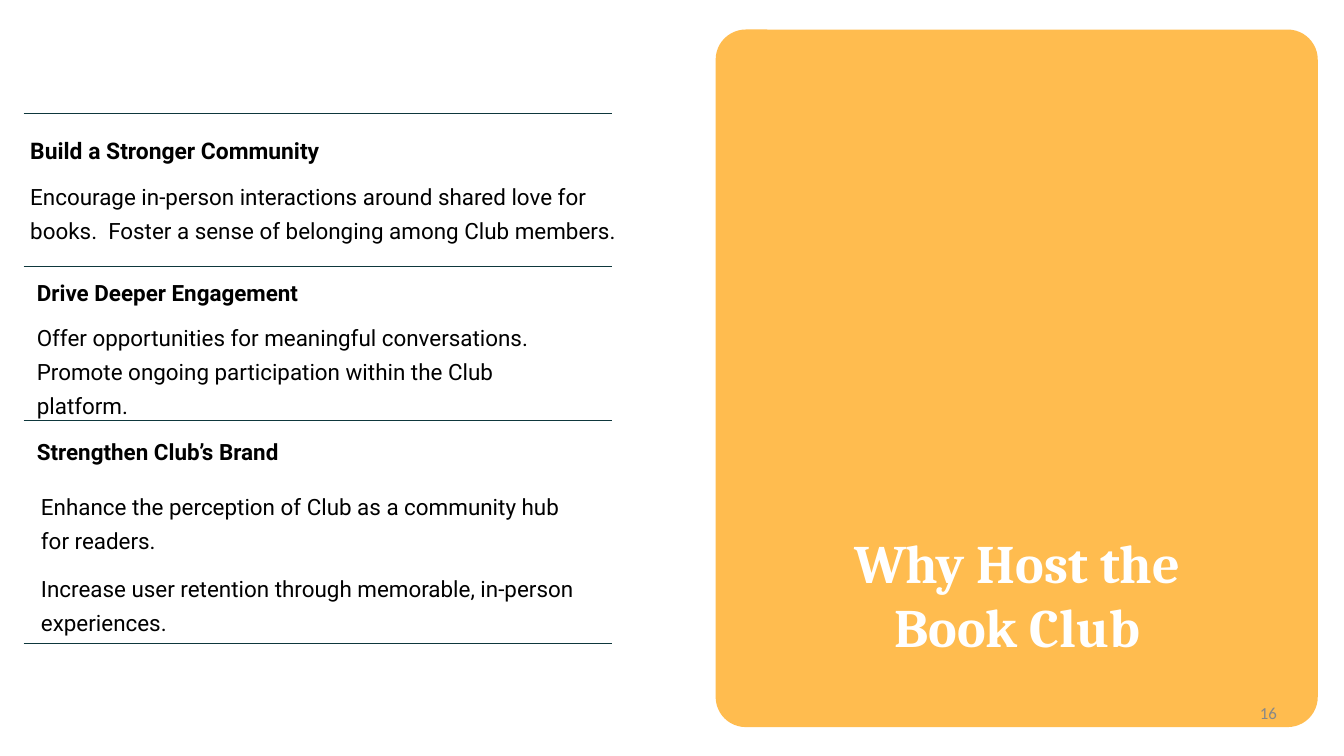
from dataclasses import dataclass

from lxml import etree
from pptx import Presentation
from pptx import util as u
from pptx.dml.color import RGBColor
from pptx.enum import shapes, text
from pptx.oxml.ns import qn

WIDTH, HEIGHT = u.Inches(20), u.Inches(11.25)
BLACK, WHITE, AMBER, TEAL, GREY = "000000", "FFFFFF", "FFBC4F", "0E373C", "888888"
LEFT, CENTER, RIGHT = text.PP_ALIGN.LEFT, text.PP_ALIGN.CENTER, text.PP_ALIGN.RIGHT


@dataclass(frozen=True)
class Area:
    """A rectangle in percent of the slide's width and height."""
    left: float
    top: float
    width: float
    height: float

    def emu(self) -> tuple[int, int, int, int]:
        return (across(self.left), down(self.top),
                across(self.width), down(self.height))


@dataclass(frozen=True)
class Passage:
    area: Area
    paragraphs: tuple[str, ...]
    bold: bool = False
    spacing: float = 1.0
    inset: float = 0.0      # inches, all sides
    inset_right: float = 0.0


def across(percent: float) -> int:
    return round(WIDTH * percent / 100)


def down(percent: float) -> int:
    return round(HEIGHT * percent / 100)


def color(value: str) -> RGBColor:
    return RGBColor.from_string(value)


def write(box, paragraphs, *, size=24, font="Roboto", fill=BLACK, bold=False,
          align=LEFT, spacing=1.0, inset=0.0, inset_right=0.0) -> None:
    frame = box.text_frame
    frame.word_wrap = True
    frame.auto_size = text.MSO_AUTO_SIZE.SHAPE_TO_FIT_TEXT
    frame.vertical_anchor = text.MSO_ANCHOR.TOP
    frame.margin_left = frame.margin_top = frame.margin_bottom = u.Inches(inset)
    frame.margin_right = u.Inches(inset_right or inset)
    for index, words in enumerate(paragraphs):
        paragraph = frame.add_paragraph() if index else frame.paragraphs[0]
        paragraph.text = words
        paragraph.alignment = align
        paragraph.line_spacing = spacing
        paragraph.space_before = u.Pt(15.8 if index else 0)
        paragraph.font.size = u.Pt(size)
        paragraph.font.name = font
        paragraph.font.bold = bold
        paragraph.font.color.rgb = color(fill)


def add_text(slide, area: Area, paragraphs, **style) -> None:
    write(slide.shapes.add_textbox(*area.emu()), paragraphs, **style)


def add_rule(slide, top: float) -> None:
    rule = slide.shapes.add_connector(
        shapes.MSO_CONNECTOR.STRAIGHT,
        across(1.75), down(top), across(45.5), down(top))
    rule.line.color.rgb = color(TEAL)
    rule.line.width = u.Pt(0.75)
    etree.SubElement(rule._element.spPr, qn("a:effectLst"))


def add_panel(slide, area: Area) -> None:
    panel = slide.shapes.add_shape(
        shapes.MSO_SHAPE.ROUNDED_RECTANGLE, *area.emu())
    panel.adjustments[0] = 0.05
    panel.shadow.inherit = False
    panel.fill.solid()
    panel.fill.fore_color.rgb = color(AMBER)
    panel.line.fill.background()


REASONS = [
    Passage(Area(2.25, 23.38, 45.05, 10.76),
            ("Encourage in-person interactions around shared love for books.  "
             "Foster a sense of belonging among Club members.",), spacing=1.25),
    Passage(Area(2.25, 36.09, 22.85, 5.42),
            ("Drive Deeper Engagement",), bold=True, inset=0.1),
    Passage(Area(2.25, 41.16, 46.7, 10.4),
            ("Offer opportunities for meaningful conversations.  "
             "Promote ongoing participation within the Club platform.",),
            spacing=1.25, inset=0.1, inset_right=1.15),
    Passage(Area(2.25, 57.07, 28.95, 5.42),
            ("Strengthen Club’s Brand",), bold=True, inset=0.1),
    Passage(Area(3, 64.27, 46, 19.2),
            ("Enhance the perception of Club as a community hub for readers.",
             "Increase user retention through memorable, in-person  experiences."),
            spacing=1.25, inset=0.01, inset_right=1.15),
]


def main() -> None:
    deck = Presentation()
    deck.slide_width, deck.slide_height = WIDTH, HEIGHT
    slide = deck.slides.add_slide(deck.slide_layouts[5])

    # Panel with the slide's topic
    add_panel(slide, Area(53.25, 3.91, 44.8, 92.27))
    add_text(slide, Area(61.8, 69.96, 27.75, 16.98), ["Why Host the Book Club"],
             size=58, font="Cambria", fill=WHITE, bold=True, align=CENTER)

    # Rules around the three reasons
    first_rule, rule_step = 14.93, 20.36
    for top in [first_rule + rule_step * row for row in range(3)] + [85.16]:
        add_rule(slide, top)

    # First reason's heading is the title placeholder
    heading = slide.shapes.title
    heading.left, heading.top, heading.width, heading.height = Area(
        2.25, 18.04, 26.6, 3.82).emu()
    write(heading, ["Build a Stronger Community"], size=24.5, bold=True)

    # Remaining headings and explanations
    for reason in REASONS:
        add_text(slide, reason.area, reason.paragraphs, bold=reason.bold,
                 spacing=reason.spacing, inset=reason.inset,
                 inset_right=reason.inset_right)

    # Page number
    add_text(slide, Area(72, 92.98, 23, 2.67), ["16"],
             size=18, font="Calibri", fill=GREY, align=RIGHT)

    deck.save("out.pptx")


if __name__ == "__main__":
    main()
